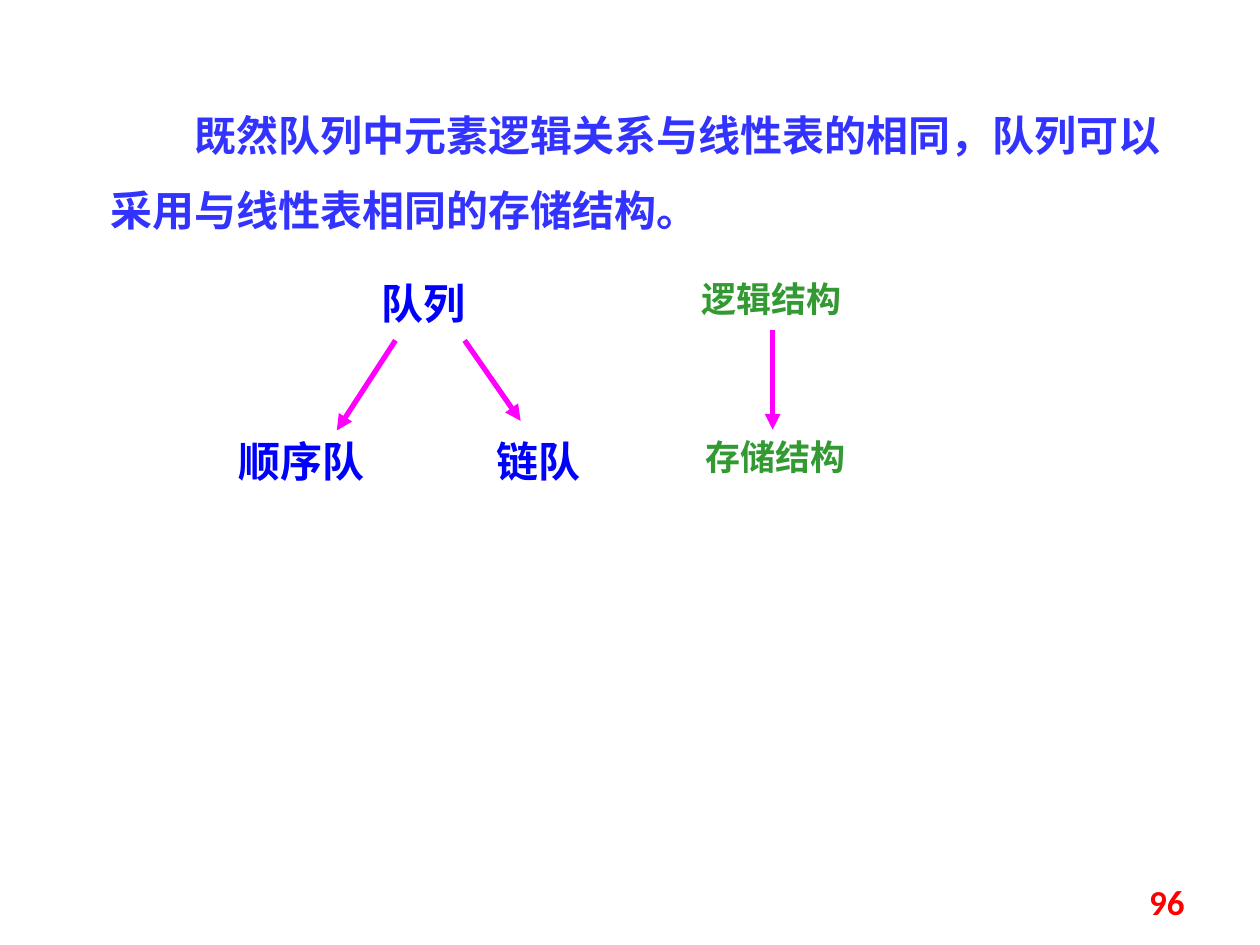
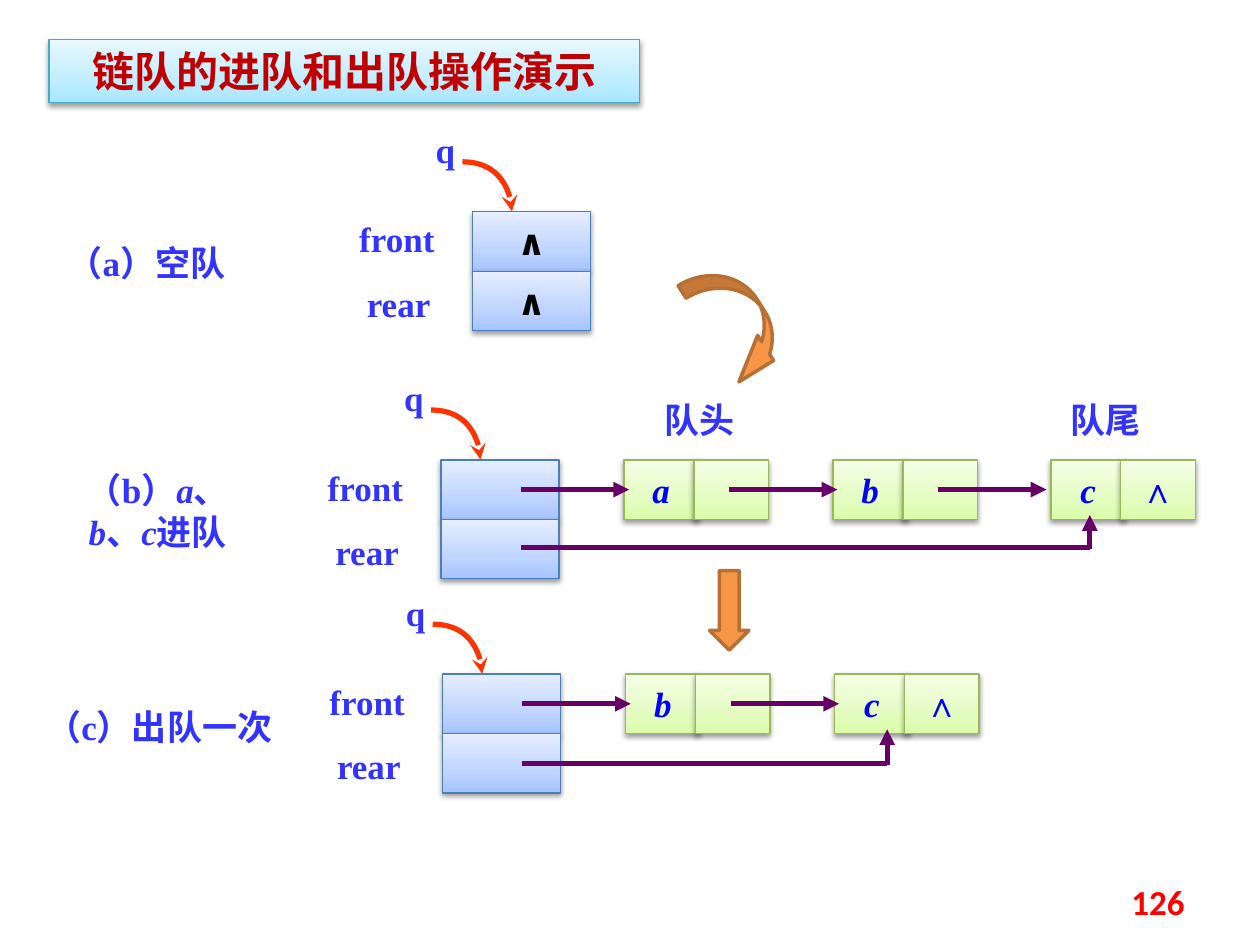
"""Build two slides on the storage structures of a queue."""
from copy import deepcopy
from dataclasses import dataclass

from pptx import Presentation
from pptx.dml.color import RGBColor
from pptx.enum.shapes import MSO_CONNECTOR, MSO_SHAPE
from pptx.enum.text import MSO_ANCHOR, MSO_AUTO_SIZE, PP_ALIGN
from pptx.oxml.ns import qn
from pptx.oxml.xmlchemy import OxmlElement
from pptx.util import Pt

LEFT, MID, RIGHT = PP_ALIGN.LEFT, PP_ALIGN.CENTER, PP_ALIGN.RIGHT
CENTRE = MSO_ANCHOR.MIDDLE
FIXED = MSO_AUTO_SIZE.NONE
STRAIGHT = MSO_CONNECTOR.STRAIGHT
RECT, DOWN, CURVED = MSO_SHAPE.RECTANGLE, MSO_SHAPE.DOWN_ARROW, MSO_SHAPE.CURVED_LEFT_ARROW
SERIF, SANS, HAN = "Times New Roman", "Calibri", "Noto Sans CJK SC"
INK = {
    "label": "3333FF", "queue": "0000FF", "struct": "339933", "pink": "FF00FF",
    "page": "FF0000", "title": "C00000", "null": "000000", "link": "660066",
    "hook": "FF3300", "step": "F79646", "edge": "B76F34", "shade": "000000",
}
FADE = {
    "title": ("A7E6FF", "C1EDFF", "E7F8FF", "46AAC5"),
    "head": ("A4C4FF", "BFD4FF", "E6EEFF", "4B7EBC"),
    "node": ("DAFDA7", "E4FCC2", "F5FFE7", "98B955"),
}
STOPS = (0, 0.35, 1)
HEAD, ROW, CELL, LAP = 67.5, 34, 42.5, 40
FIRST, REACH, INNER, OUTER = 104.5, 62, 60, 45.5


@dataclass
class Label:
    """Text with its box and look."""
    text: str
    x: float
    y: float
    w: float
    h: float = 31
    ink: str = "label"
    size: float = 20
    align: PP_ALIGN = MID


@dataclass
class Queue:
    """One state of the linked queue."""
    x: float
    y: float
    nodes: tuple = ()
    gaps: tuple = ()
    hook: float = 0
    low: float = 50
    null: str = ""


def rgb(name: str) -> RGBColor:
    """Return a named colour."""
    return RGBColor.from_string(INK[name])


def style(para, ink: str, size: float, face: str = SERIF, bold: bool = True, slant: bool = False) -> None:
    """Set the font of a paragraph."""
    font = para.font
    font.name, font.size, font.bold, font.italic = face, Pt(size), bold, slant
    font.color.rgb = rgb(ink)
    east = OxmlElement("a:ea")
    east.set("typeface", HAN)
    para._p.pPr.find(qn("a:defRPr")).find(qn("a:latin")).addnext(east)


def write(slide, item: Label, face: str = SERIF):
    """Add a text box; asterisks set off italic runs."""
    box = slide.shapes.add_textbox(Pt(item.x), Pt(item.y), Pt(item.w), Pt(item.h))
    box.text_frame.word_wrap = True
    para = box.text_frame.paragraphs[0]
    para.alignment = item.align
    style(para, item.ink, item.size, face)
    for num, part in enumerate(item.text.split("*")):
        run = para.add_run()
        run.text = part
        if num % 2:
            run.font.italic = True
    return box


def tip(line, kind: str) -> None:
    """Put an arrowhead at the end of a line."""
    end = OxmlElement("a:tailEnd")
    end.set("type", kind)
    line.line._get_or_add_ln().append(end)


def join(slide, x: float, y: float, right: float, low: float, ink: str = "link", arrow: bool = True) -> None:
    """Draw a straight line or arrow."""
    line = slide.shapes.add_connector(STRAIGHT, Pt(x), Pt(y), Pt(right), Pt(low))
    line.line.color.rgb = rgb(ink)
    line.line.width = Pt(3)
    line._element.spPr.append(OxmlElement("a:effectLst"))
    if arrow:
        tip(line, "triangle")


def shade(shape) -> None:
    """Give a shape a soft shadow below."""
    shape.shadow.inherit = False
    cast = OxmlElement("a:outerShdw")
    for key, val in (("blurRad", Pt(3.1)), ("dist", Pt(1.6)), ("dir", 5400000), ("rotWithShape", 0)):
        cast.set(key, str(int(val)))
    tone, alpha = OxmlElement("a:srgbClr"), OxmlElement("a:alpha")
    tone.set("val", INK["shade"])
    alpha.set("val", "38000")
    tone.append(alpha)
    cast.append(tone)
    shape._element.spPr.find(qn("a:effectLst")).append(cast)


def fade(shape, name: str) -> None:
    """Fill a shape with a three-stop fade, edge it and shade it."""
    *tones, edge = FADE[name]
    shape.fill.gradient()
    shape.fill.gradient_angle = 90
    stops = shape._element.spPr.find(".//" + qn("a:gsLst"))
    stops.append(deepcopy(stops[0]))
    for stop, pos, tone in zip(shape.fill.gradient_stops, STOPS, tones):
        stop.position = pos
        stop.color.rgb = RGBColor.from_string(tone)
    shape.line.color.rgb = RGBColor.from_string(edge)
    shape.line.width = Pt(0.75)
    shade(shape)


def cell(slide, x: float, y: float, w: float, name: str, text: str = "") -> None:
    """Draw one field of a node."""
    box = slide.shapes.add_shape(RECT, Pt(x), Pt(y), Pt(w), Pt(ROW))
    fade(box, name)
    if text:
        frame = box.text_frame
        frame.word_wrap, frame.vertical_anchor = False, CENTRE
        para = frame.paragraphs[0]
        para.text, para.alignment = text, MID
        if name == "head":
            style(para, "null", 20, SANS)
        else:
            style(para, "queue", 20, slant=text.isalpha())


def bend(slide, x: float, y: float, side: float) -> None:
    """Draw a quarter-circle arrow going right and down."""
    size = Pt(side)
    form = slide.shapes.build_freeform(Pt(x), Pt(y))
    form.add_line_segments([(Pt(x) + size, Pt(y) + size)], close=False)
    arc = form.convert_to_shape()
    old = arc._element.spPr.find(".//" + qn("a:lnTo"))
    curve = OxmlElement("a:cubicBezTo")
    for across, down in ((0.55, 0), (1, 0.45), (1, 1)):
        point = OxmlElement("a:pt")
        point.set("x", str(int(size * across)))
        point.set("y", str(int(size * down)))
        curve.append(point)
    old.getparent().replace(old, curve)
    arc.fill.background()
    arc.line.color.rgb = rgb("hook")
    arc.line.width = Pt(3)
    arc.shadow.inherit = False
    tip(arc, "stealth")


def draw(slide, item: Queue) -> None:
    """Draw a queue header with its nodes and links."""
    x, y = item.x, item.y
    for row in range(2):
        cell(slide, x, y + row * ROW, HEAD, "head", item.null)
    starts = [x + FIRST + gap for gap in item.gaps]
    for name, left in zip(item.nodes, starts):
        cell(slide, left, y, CELL, "node", name)
        cell(slide, left + LAP, y, CELL, "node", "∧" if left == starts[-1] else "")
    for left in [x + OUTER] * bool(starts) + [left + INNER for left in starts[:-1]]:
        join(slide, left, y + ROW / 2, left + REACH, y + ROW / 2)
    if starts:
        end, low = starts[-1] + item.hook, y + item.low
        join(slide, x + OUTER, low, end, low, arrow=False)
        join(slide, end, low + 1, end, y + 31.5)
    bend(slide, x - 5.7, y - 28.5, 28.3)
    write(slide, Label("q", x - 32.5, y - 51, 34))
    write(slide, Label("front", x - 74.5, y, 62.5))
    write(slide, Label("rear", x - 73.5, y + 36.7, 62.5))


def block(slide, kind, x: float, y: float, w: float, h: float):
    """Draw a block arrow between two states."""
    arrow = slide.shapes.add_shape(kind, Pt(x), Pt(y), Pt(w), Pt(h))
    arrow.fill.solid()
    arrow.fill.fore_color.rgb = rgb("step")
    arrow.line.color.rgb = rgb("edge")
    arrow.line.width = Pt(2)
    arrow.shadow.inherit = False
    return arrow


def page(slide, num: int) -> None:
    """Write the page number."""
    box = write(slide, Label(str(num), 516, 500.5, 168, 29, "page", align=RIGHT), SANS)
    box.text_frame.vertical_anchor = CENTRE


def stores(deck) -> None:
    """Build the slide on storage structures."""
    slide = deck.slides.add_slide(deck.slide_layouts[6])
    lead = "既然队列中元素逻辑关系与线性表的相同，队列可以采用与线性表相同的存储结构。"
    box = write(slide, Label(lead, 56, 44.5, 636, 89, size=24, align=LEFT))
    para = box.text_frame.paragraphs[0]
    para.line_spacing = 1.5
    para._p.pPr.set("indent", str(Pt(48)))
    for item in (
        Label("队列", 203, 155, 78.5, 36, "queue", 24),
        Label("顺序队", 129.5, 245.5, 119, 36, "queue", 24, LEFT),
        Label("链队", 276.5, 245.5, 85, 36, "queue", 24, LEFT),
        Label("逻辑结构", 393.5, 155, 107, 31, "struct", 20, LEFT),
        Label("存储结构", 396, 245.5, 113, 31, "struct", 20, LEFT),
    ):
        write(slide, item)
    for ends in ((226, 194.5, 192.5, 246), (265.5, 194.5, 297.5, 240.5), (441.5, 188.5, 441.5, 245.5)):
        join(slide, *ends, "pink")
    page(slide, 96)


def demo(deck) -> None:
    """Build the slide on entering and leaving a linked queue."""
    slide = deck.slides.add_slide(deck.slide_layouts[5])
    title = slide.shapes.title
    title.left, title.top, title.width, title.height = Pt(28), Pt(22.5), Pt(337.5), Pt(36)
    fade(title, "title")
    frame = title.text_frame
    frame.auto_size, frame.vertical_anchor = FIXED, CENTRE
    para = frame.paragraphs[0]
    para.text, para.alignment = "链队的进队和出队操作演示", MID
    style(para, "title", 24, HAN)
    for item in (
        Queue(270, 121, null="∧"),
        Queue(252, 262.8, ("a", "b", "c"), (0, 119.5, 244), 22.3),
        Queue(253, 385.2, ("b", "c"), (0, 119.5), 30, 51),
    ):
        draw(slide, item)
    for item in (
        Label("（a）空队", 21.5, 134.5, 124.5),
        Label("（b）*a*、*b*、*c*进队", 28, 264, 124.5, 55.5),
        Label("（c）出队一次", 6, 399.5, 170),
        Label("队头", 360, 224, 79),
        Label("队尾", 592, 224, 79),
    ):
        write(slide, item)
    turn = block(slide, CURVED, 404.5, 148.5, 34, 73.5)
    turn.rotation = 327.7
    for num, val in enumerate((0.25, 0.5, 0.684)):
        turn.adjustments[num] = val
    block(slide, DOWN, 405.5, 326, 22.5, 45.5)
    page(slide, 126)


def main() -> None:
    """Build and save the deck."""
    deck = Presentation()
    deck.slide_width, deck.slide_height = Pt(720), Pt(540)
    stores(deck)
    demo(deck)
    deck.save("out.pptx")


main()
